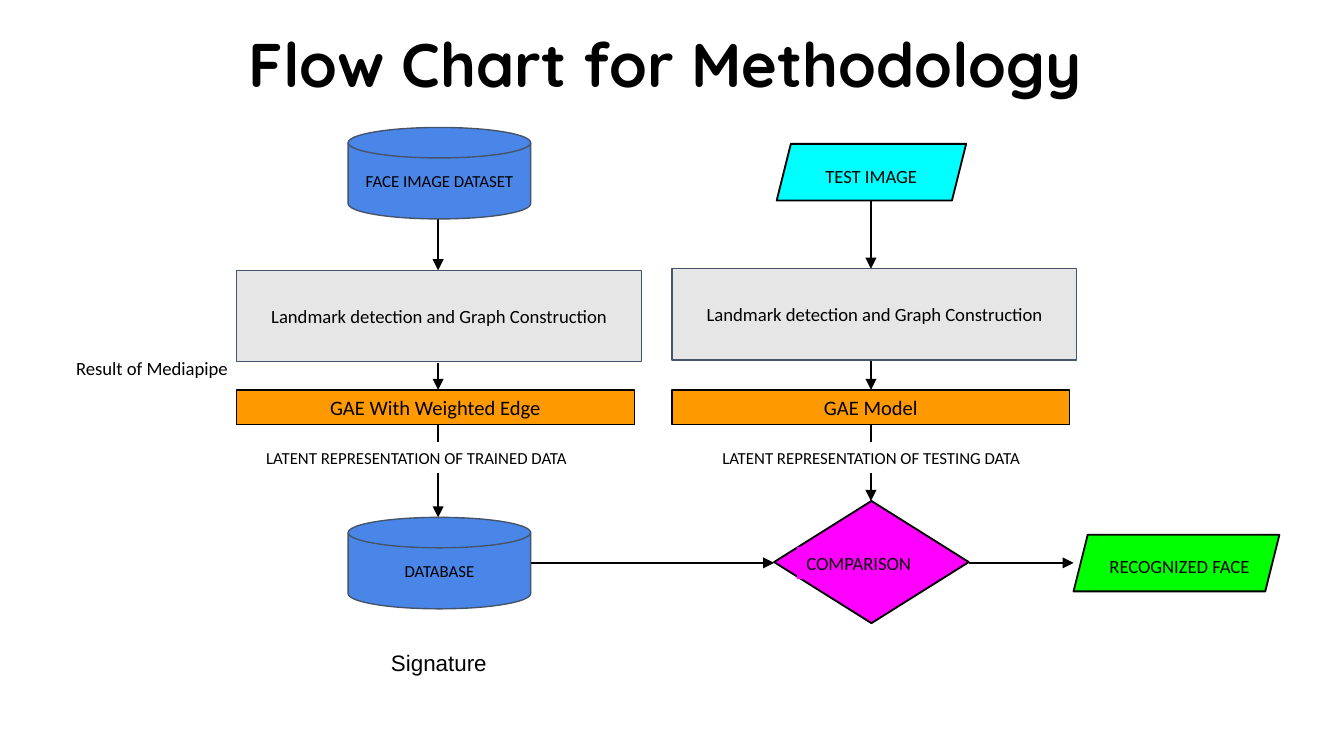
from lxml.etree import SubElement
from pptx import Presentation
from pptx.dml.color import RGBColor
from pptx.enum.shapes import MSO_CONNECTOR, MSO_SHAPE
from pptx.enum.text import MSO_ANCHOR, PP_ALIGN
from pptx.oxml.ns import qn
from pptx.util import Cm, Pt

COLORS = {
    "black": "000000",
    "white": "FFFFFF",
    "magenta": "FF00FF",
    "cyan": "00FFFF",
    "green": "00FF00",
    "orange": "FF9900",
    "blue": "4A86E8",
    "gray": "E7E6E6",
    "slate": "44546A",
}
TIGHT = (0.18, 0.1)
ROOMY = (0.25, 0.25)
LEFT_AXIS, RIGHT_AXIS, FLOW_ROW = 8.28, 16.46, 10.64

deck = Presentation()
deck.slide_width, deck.slide_height = Cm(25.4), Cm(14.29)
page = deck.slides.add_slide(deck.slide_layouts[6])


def write(box, text, size, font="Calibri", align=PP_ALIGN.CENTER,
          anchor=MSO_ANCHOR.TOP, margins=TIGHT):
    frame = box.text_frame
    frame.word_wrap = True
    frame.vertical_anchor = anchor
    frame.margin_left = frame.margin_right = Cm(margins[0])
    frame.margin_top = frame.margin_bottom = Cm(margins[1])
    para = frame.paragraphs[0]
    para.text = text
    para.alignment = align
    para.font.name = font
    para.font.size = Pt(size)
    para.font.color.rgb = RGBColor.from_string(COLORS["black"])
    return para


def add_block(kind, bounds, fill, line=None, width=0.75):
    block = page.shapes.add_shape(kind, *[Cm(value) for value in bounds])
    block.shadow.inherit = False
    block.fill.solid()
    block.fill.fore_color.rgb = RGBColor.from_string(COLORS[fill])
    if line:
        block.line.color.rgb = RGBColor.from_string(COLORS[line])
        block.line.width = Pt(width)
    else:
        block.line.fill.background()
    return block


title_box = page.shapes.add_textbox(Cm(1.63), Cm(0.41), Cm(21.89), Cm(1.73))
title = write(title_box, "Flow Chart for Methodology", 33, "Quicksand",
              anchor=MSO_ANCHOR.MIDDLE)
title.font.bold = True
title.line_spacing = 0.9

arrows = [
    (LEFT_AXIS, 4.11, LEFT_AXIS, 5.11),
    (LEFT_AXIS, 6.86, LEFT_AXIS, 7.37),
    (LEFT_AXIS, 8.03, LEFT_AXIS, 9.78),
    (RIGHT_AXIS, 3.78, RIGHT_AXIS, 5.08),
    (RIGHT_AXIS, 6.81, RIGHT_AXIS, 7.37),
    (RIGHT_AXIS, 8.03, RIGHT_AXIS, 9.47),
    (10.03, FLOW_ROW, 14.63, FLOW_ROW),
    (18.31, FLOW_ROW, 20.29, FLOW_ROW),
]
for ends in arrows:
    arrow = page.shapes.add_connector(
        MSO_CONNECTOR.STRAIGHT, *[Cm(value) for value in ends])
    arrow.line.color.rgb = RGBColor.from_string(COLORS["black"])
    arrow.line.width = Pt(0.75)
    SubElement(arrow.line._get_or_add_ln(), qn("a:tailEnd"), type="triangle")
    SubElement(arrow._element.spPr, qn("a:effectLst"))

nodes = [
    (MSO_SHAPE.DIAMOND, (14.63, 9.47, 3.68, 2.31), "magenta",
     "COMPARISON", (15.06, 10.34, 2.54, 0.61), PP_ALIGN.LEFT),
    (MSO_SHAPE.PARALLELOGRAM, (14.68, 2.72, 3.58, 1.07), "cyan",
     "TEST IMAGE", (14.99, 3.02, 2.95, 0.61), PP_ALIGN.CENTER),
    (MSO_SHAPE.PARALLELOGRAM, (20.29, 10.11, 3.89, 1.07), "green",
     "RECOGNIZED FACE", (20.65, 10.39, 3.28, 0.61), PP_ALIGN.CENTER),
]
for kind, bounds, fill, text, label_bounds, align in nodes:
    add_block(kind, bounds, fill, "black", 1)
    label = add_block(MSO_SHAPE.RECTANGLE, label_bounds, fill)
    write(label, text, 10, align=align)

for left, text in [(4.47, "GAE With Weighted Edge"), (12.7, "GAE Model")]:
    model = add_block(MSO_SHAPE.RECTANGLE, (left, 7.37, 7.52, 0.66),
                      "orange", "black")
    write(model, text, 11)

for left, width, subject, align in [
    (4.85, 6.83, "TRAINED", PP_ALIGN.LEFT),
    (12.75, 7.42, "TESTING", PP_ALIGN.CENTER),
]:
    latent = add_block(MSO_SHAPE.RECTANGLE, (left, 8.36, width, 0.58), "white")
    write(latent, f"LATENT REPRESENTATION OF {subject} DATA", 9, align=align)

for top, text in [(2.41, "FACE IMAGE DATASET"), (9.78, "DATABASE")]:
    disk = add_block(MSO_SHAPE.FLOWCHART_MAGNETIC_DISK,
                     (6.58, top, 3.45, 1.73), "blue", "slate")
    write(disk, text, 9, anchor=MSO_ANCHOR.MIDDLE, margins=ROOMY)

for left, top in [(4.47, 5.11), (12.7, 5.08)]:
    landmark = add_block(MSO_SHAPE.RECTANGLE, (left, top, 7.65, 1.73),
                         "gray", "slate")
    write(landmark, "Landmark detection and Graph Construction", 10,
          anchor=MSO_ANCHOR.MIDDLE, margins=ROOMY)

result_box = page.shapes.add_textbox(Cm(1.19), Cm(6.53), Cm(3.45), Cm(0.94))
write(result_box, "Result of Mediapipe", 10, align=PP_ALIGN.LEFT, margins=ROOMY)
signature_box = page.shapes.add_textbox(Cm(7.14), Cm(12.14), Cm(3.73), Cm(0.76))
write(signature_box, "Signature", 12, "Arial", PP_ALIGN.LEFT,
      margins=(0.25, 0.13))

deck.save("out.pptx")
